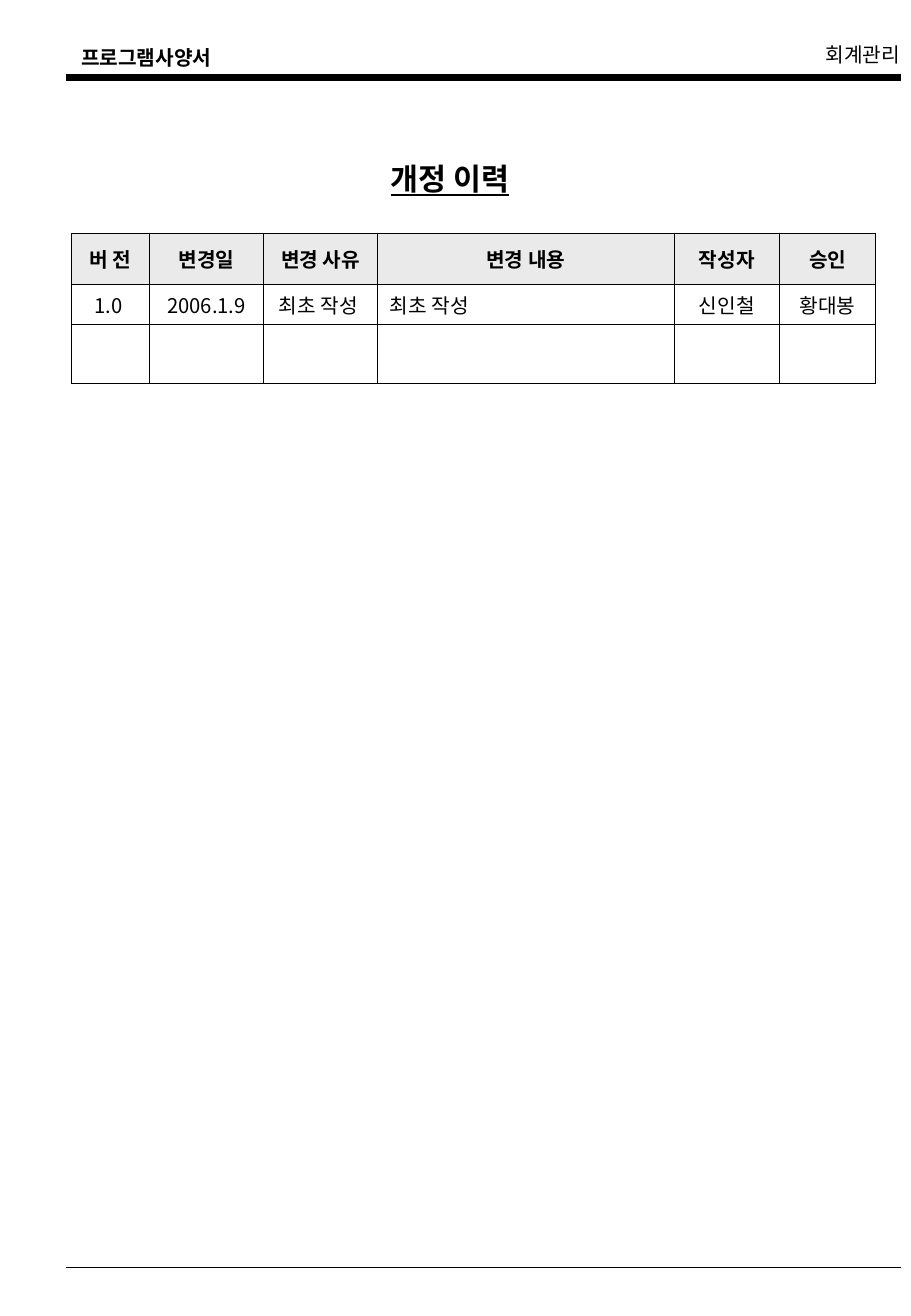
from dataclasses import dataclass

from lxml import etree
from pptx import Presentation
from pptx.dml.color import RGBColor
from pptx.enum.shapes import MSO_CONNECTOR
from pptx.enum.text import MSO_ANCHOR, MSO_AUTO_SIZE, PP_ALIGN
from pptx.oxml.ns import qn
from pptx.util import Inches, Pt

LEFT, CENTER, RIGHT = PP_ALIGN.LEFT, PP_ALIGN.CENTER, PP_ALIGN.RIGHT
MIDDLE = MSO_ANCHOR.MIDDLE
FIT_TEXT = MSO_AUTO_SIZE.SHAPE_TO_FIT_TEXT
STRAIGHT = MSO_CONNECTOR.STRAIGHT

FONT = "Noto Sans CJK KR"
BLACK = "000000"
HEADER_GRAY = "EAEAEA"


@dataclass
class Label:
    text: str
    left: float
    top: float
    width: float
    height: float
    size: float = 12
    bold: bool = False
    underline: bool = False
    align: PP_ALIGN = LEFT
    wrap: bool = False


@dataclass
class Rule:
    top: float
    weight: float


@dataclass
class Column:
    heading: str
    entry: str
    width: float
    align: PP_ALIGN = CENTER


LABELS = [
    Label("프로그램사양서", 0.57, 0.32, 1.27, 0.3, bold=True),
    Label("회계관리", 6.7, 0.3, 0.81, 0.3, align=RIGHT),
    Label("개정 이력", 3.12, 1.27, 1.53, 0.4, size=18, bold=True,
          underline=True, wrap=True),
]
RULES = [Rule(0.64, 4.5), Rule(10.44, 1)]
RULE_LEFT, RULE_RIGHT = 0.54, 7.42

COLUMNS = [
    Column("버 전", "1.0 ", 0.64),
    Column("변경일", "2006.1.9", 0.94),
    Column("변경 사유", "최초 작성 ", 0.94),
    Column("변경 내용", "최초 작성", 2.44, LEFT),
    Column("작성자", "신인철", 0.87),
    Column("승인", "황대봉", 0.79),
]
ROW_HEIGHTS = [0.42, 0.33, 0.49]
TABLE_LEFT, TABLE_TOP = 0.59, 1.92
BORDER_WEIGHT = 0.45


def color(value: str) -> RGBColor:
    return RGBColor.from_string(value)


def add_run(paragraph, text: str, size: float, bold: bool, underline: bool = False) -> None:
    run = paragraph.add_run()
    run.text = text
    font = run.font
    font.size, font.bold, font.underline = Pt(size), bold, underline
    font.color.rgb = color(BLACK)
    font.name = FONT
    # Hangul takes its typeface from the East Asian slot
    etree.SubElement(font._element, qn("a:ea"), typeface=FONT)


def add_label(slide, label: Label) -> None:
    shape = slide.shapes.add_textbox(
        Inches(label.left), Inches(label.top), Inches(label.width), Inches(label.height))
    frame = shape.text_frame
    frame.word_wrap = label.wrap
    frame.auto_size = FIT_TEXT
    paragraph = frame.paragraphs[0]
    paragraph.alignment = label.align
    add_run(paragraph, label.text, label.size, label.bold, label.underline)


def add_rule(slide, rule: Rule) -> None:
    connector = slide.shapes.add_connector(
        STRAIGHT, Inches(RULE_LEFT), Inches(rule.top), Inches(RULE_RIGHT), Inches(rule.top))
    connector.line.color.rgb = color(BLACK)
    connector.line.width = Pt(rule.weight)
    etree.SubElement(connector._element.spPr, qn("a:effectLst"))


def add_borders(cell) -> None:
    properties = cell._tc.get_or_add_tcPr()
    for index, side in enumerate(("lnL", "lnR", "lnT", "lnB")):
        line = etree.Element(qn(f"a:{side}"), w=str(Pt(BORDER_WEIGHT)))
        fill = etree.SubElement(line, qn("a:solidFill"))
        etree.SubElement(fill, qn("a:srgbClr"), val=BLACK)
        properties.insert(index, line)


def fill_cell(cell, text: str, align: PP_ALIGN, heading: bool) -> None:
    cell.vertical_anchor = MIDDLE
    if heading:
        cell.fill.solid()
        cell.fill.fore_color.rgb = color(HEADER_GRAY)
    else:
        cell.fill.background()
    add_borders(cell)
    paragraph = cell.text_frame.paragraphs[0]
    paragraph.alignment = align
    if text:
        add_run(paragraph, text, 12, heading)


def add_history_table(slide) -> None:
    width = sum(column.width for column in COLUMNS)
    table = slide.shapes.add_table(
        len(ROW_HEIGHTS), len(COLUMNS), Inches(TABLE_LEFT), Inches(TABLE_TOP),
        Inches(width), Inches(sum(ROW_HEIGHTS))).table
    table.first_row = table.horz_banding = False
    for row, height in zip(table.rows, ROW_HEIGHTS):
        row.height = Inches(height)
    for index, column in enumerate(COLUMNS):
        table.columns[index].width = Inches(column.width)
        fill_cell(table.cell(0, index), column.heading, CENTER, True)
        fill_cell(table.cell(1, index), column.entry, column.align, False)
        fill_cell(table.cell(2, index), "", column.align, False)


def main() -> None:
    presentation = Presentation()
    presentation.slide_width = Inches(7.5)
    presentation.slide_height = Inches(10.84)
    slide = presentation.slides.add_slide(presentation.slide_layouts[6])

    # Page header, title and rules
    for label in LABELS:
        add_label(slide, label)
    for rule in RULES:
        add_rule(slide, rule)

    # Revision history
    add_history_table(slide)

    presentation.save("out.pptx")


if __name__ == "__main__":
    main()
